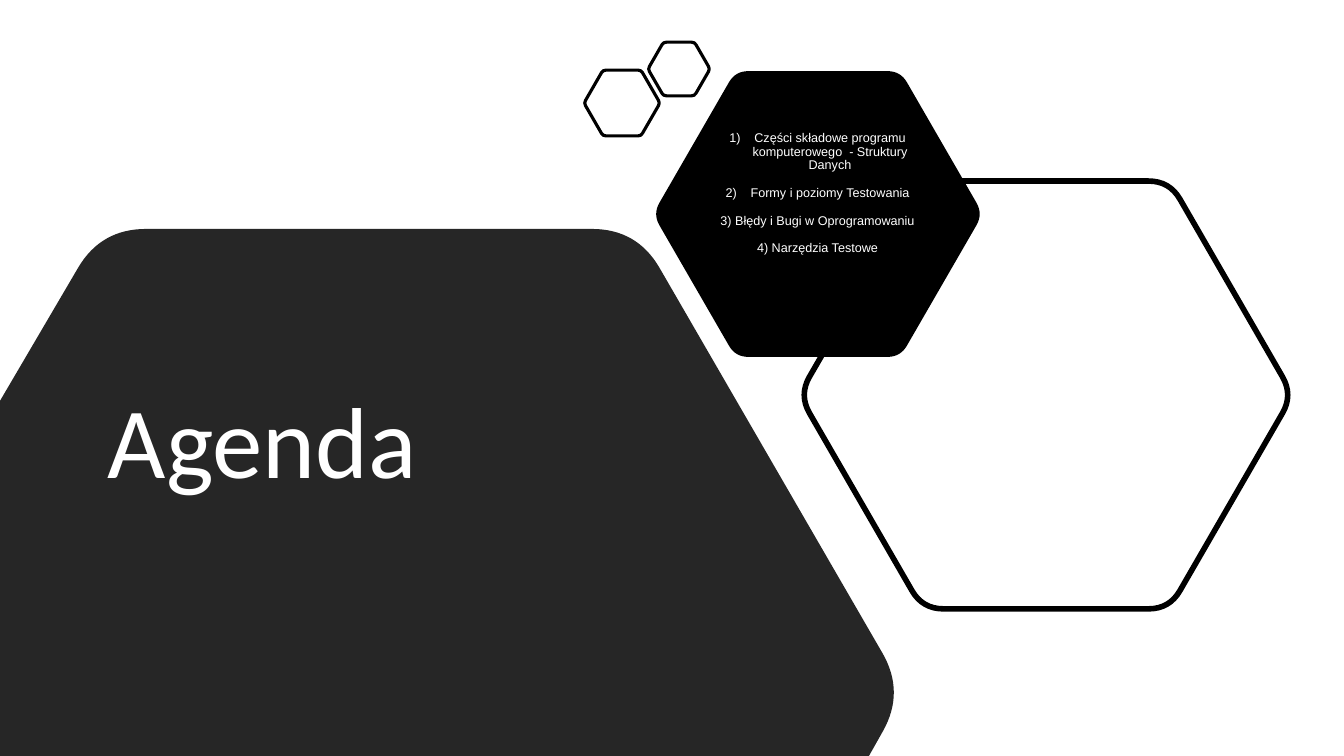
import math

from lxml import etree
from pptx import Presentation
from pptx import util as u
from pptx.dml.color import RGBColor
from pptx.enum import text
from pptx.oxml.ns import qn

BLACK = RGBColor(0x00, 0x00, 0x00)
CHARCOAL = RGBColor(0x26, 0x26, 0x26)
WHITE = RGBColor(0xFF, 0xFF, 0xFF)

WIDTH, HEIGHT = 1344, 756
INSET = 5
TOPICS = [
    "Części składowe programu komputerowego  - Struktury Danych",
    "Formy i poziomy Testowania",
    "3) Błędy i Bugi w Oprogramowaniu",
    "4) Narzędzia Testowe",
]


def px(length):
    return u.Emu(round(length * 914400 / 100.8))


def toward(start, end, distance):
    share = distance / math.dist(start, end)
    return tuple(a + (b - a) * share for a, b in zip(start, end))


def trace(corners):
    points, crests = [], []
    for index, (x, y, cut) in enumerate(corners):
        corner = (x, y)
        if not cut:
            points.append(corner)
            continue
        first = toward(corner, corners[index - 1][:2], cut)
        last = toward(corner, corners[(index + 1) % len(corners)][:2], cut)
        crest = tuple((a + 2 * b + c) / 4 for a, b, c in zip(first, corner, last))
        crests.append(len(points) + 1)
        points += [first, crest, last]
    return points, crests


def bend(shape, crests):
    """Turn each crest and the point after it into one quadratic curve."""
    outline = next(shape._element.iter(qn("a:path")))
    steps = list(outline)
    for crest in crests:
        first, middle, last = (step[0] for step in steps[crest - 1:crest + 2])
        for axis in ("x", "y"):
            start, peak, end = (int(point.get(axis)) for point in (first, middle, last))
            middle.set(axis, str(2 * peak - (start + end) // 2))
    for crest in crests:
        curve = etree.Element(qn("a:quadBezTo"))
        outline.replace(steps[crest], curve)
        curve.append(steps[crest][0])
        curve.append(steps[crest + 1][0])
        outline.remove(steps[crest + 1])


def write(paragraph, words, size, font, color, align=None, before=0, numbered=False):
    paragraph.alignment = align
    paragraph.line_spacing = 0.9
    paragraph.space_before = u.Pt(before)
    span = paragraph.add_run()
    span.text = words
    span.font.size = u.Pt(size)
    span.font.name = font
    span.font.color.rgb = color
    if numbered:
        properties = paragraph._p.get_or_add_pPr()
        properties.set("marL", str(px(25)))
        properties.set("indent", str(-px(25)))
        etree.SubElement(properties, qn("a:buAutoNum"), type="arabicParenR")


class Page:
    """Draws styled elements on one slide."""

    def __init__(self, deck):
        self.slide = deck.slides.add_slide(deck.slide_layouts[6])

    def outline(self, corners, fill=None, line=None):
        points, crests = trace(corners)
        points = [(px(x), px(y)) for x, y in points]
        builder = self.slide.shapes.build_freeform(*points[0], scale=1.0)
        builder.add_line_segments(points[1:], close=True)
        shape = builder.convert_to_shape()
        bend(shape, crests)
        shape.shadow.inherit = False
        if fill is None:
            shape.fill.background()
        else:
            shape.fill.solid()
            shape.fill.fore_color.rgb = fill
        if line is None:
            shape.line.fill.background()
        else:
            shape.line.color.rgb = BLACK
            shape.line.width = u.Pt(line)

    def hexagon(self, x, y, side, cut, **style):
        angles = [math.radians(60 * turn) for turn in range(6)]
        self.outline([(x + side * math.cos(a), y + side * math.sin(a), cut)
                      for a in angles], **style)

    def text_box(self, left, top, width, height, lift):
        box = self.slide.shapes.add_textbox(px(left), px(top), px(width), px(height))
        frame = box.text_frame
        frame.word_wrap = True
        frame.vertical_anchor = text.MSO_ANCHOR.MIDDLE
        frame.margin_bottom = px(INSET + lift)
        return frame


def main():
    deck = Presentation()
    deck.slide_width, deck.slide_height = px(WIDTH), px(HEIGHT)
    page = Page(deck)

    page.hexagon(1046, 395, 247, 21, line=4)
    page.hexagon(818, 214, 165, 13, fill=BLACK)
    page.outline([(0, 401, 0), (101, 229, 45), (637, 229, 45), (905, 692, 45),
                  (869, HEIGHT, 0), (0, HEIGHT, 0)], fill=CHARCOAL)

    title = page.text_box(98, 327, 564, 360, lift=123)
    write(title.paragraphs[0], "Agenda", 72, "Calibri", WHITE)

    agenda = page.text_box(695, 148, 245, 132, lift=41)
    for index, topic in enumerate(TOPICS):
        paragraph = agenda.add_paragraph() if index else agenda.paragraphs[0]
        write(paragraph, topic, 9, "Arial", WHITE, align=text.PP_ALIGN.CENTER,
              before=10, numbered=index < 2)

    page.hexagon(622, 103, 38, 3, line=2.25)
    page.hexagon(679, 69, 31, 3, line=2.25)
    deck.save("out.pptx")


if __name__ == "__main__":
    main()
